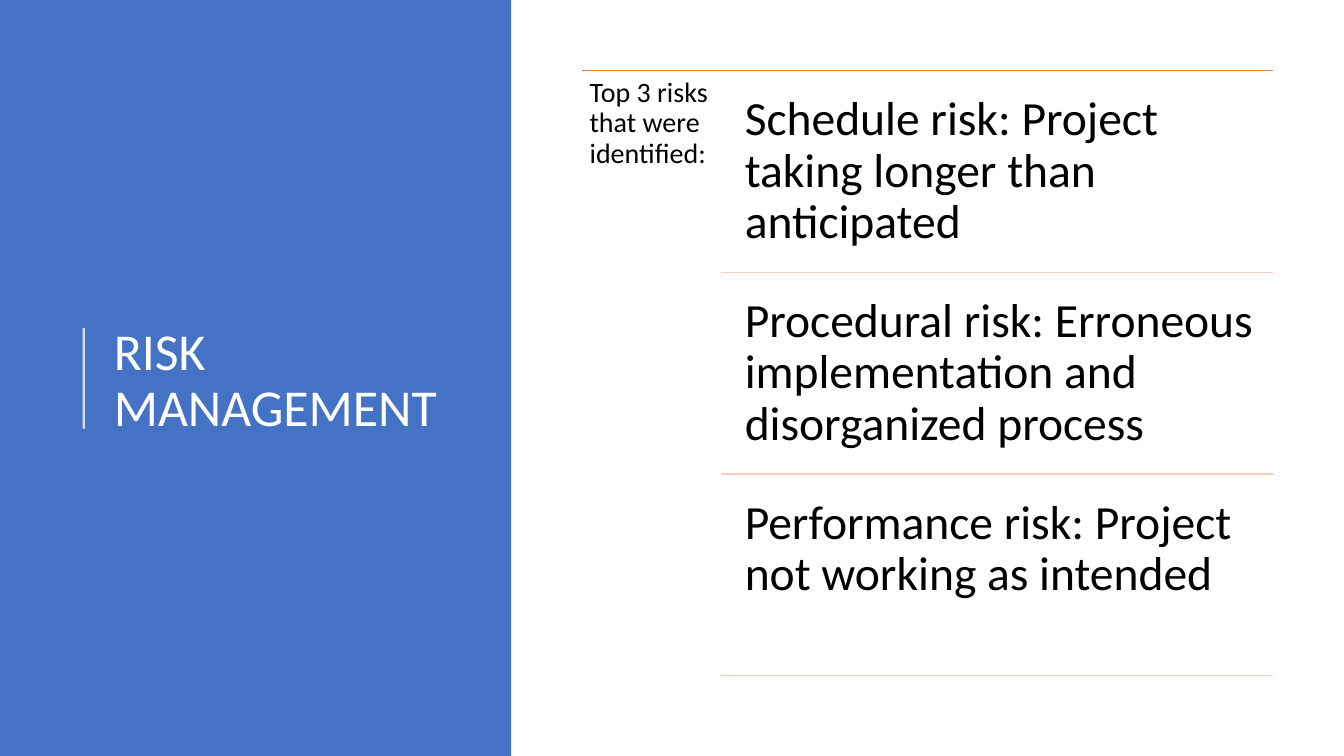
from lxml import etree
from pptx import Presentation
from pptx import util as u
from pptx.dml.color import RGBColor
from pptx.enum import shapes, text
from pptx.oxml.ns import qn

Cm = u.Cm
COLORS = {"panel": "4472C4", "white": "FFFFFF", "black": "000000",
          "top": "ED7D31", "rule": "F6CCBE"}


def add_text(words, left, top, width, height, size, color, pad, anchor):
    """Add a wrapped text box; lengths in cm, size in points."""
    box = slide.shapes.add_textbox(Cm(left), Cm(top), Cm(width), Cm(height))
    frame = box.text_frame
    frame.word_wrap = True
    frame.vertical_anchor = anchor
    frame.margin_left = frame.margin_right = Cm(pad)
    frame.margin_top = frame.margin_bottom = Cm(pad)
    frame.text = words
    para = frame.paragraphs[0]
    para.line_spacing = 0.9
    font = para.runs[0].font
    font.name, font.size = "Calibri", u.Pt(size)
    font.color.rgb = RGBColor.from_string(COLORS[color])


def add_line(x1, y1, x2, y2, color, width=1):
    """Add a straight line without shadow; lengths in cm."""
    line = slide.shapes.add_connector(
        shapes.MSO_CONNECTOR.STRAIGHT, Cm(x1), Cm(y1), Cm(x2), Cm(y2))
    line.line.color.rgb = RGBColor.from_string(COLORS[color])
    line.line.width = u.Pt(width)
    etree.SubElement(line._element.spPr, qn("a:effectLst"))
    return line


deck = Presentation()
deck.slide_width, deck.slide_height = Cm(33.87), Cm(19.05)
slide = deck.slides.add_slide(deck.slide_layouts[6])
TOP, MID = text.MSO_ANCHOR.TOP, text.MSO_ANCHOR.MIDDLE

# Title panel
panel = slide.shapes.add_shape(
    shapes.MSO_SHAPE.RECTANGLE, 0, 0, Cm(12.88), deck.slide_height)
panel.shadow.inherit = False
panel.fill.solid()
panel.fill.fore_color.rgb = RGBColor.from_string(COLORS["panel"])
panel.line.fill.background()
add_text("RISK MANAGEMENT", 2.62, 1.98, 9.37, 15.29, 37, "white", 0.25, MID)
bar = add_line(2.11, 10.8, 2.11, 8.26, "white", 1.5)
tint = bar._element.spPr.find(".//" + qn("a:srgbClr"))
etree.SubElement(tint, qn("a:alpha")).set("val", "80000")

# Risk list
left, right, top, step, gap = 14.66, 32.08, 1.78, 5.08, 0.25
add_line(left, top, right, top, "top")
add_text("Top 3 risks that were identified:",
         left, top, 3.48, 15.47, 20, "black", 0.2, TOP)

risks = ["Schedule risk: Project taking longer than anticipated",
         "Procedural risk: Erroneous implementation and disorganized process",
         "Performance risk: Project not working as intended"]
start = 18.16
for i, risk in enumerate(risks):
    y = top + i * step
    add_text(risk, start + gap, y + gap, right - start - gap, step - gap,
             34, "black", 0.36, TOP)
    add_line(start, y + step, right, y + step, "rule")

deck.save("out.pptx")
